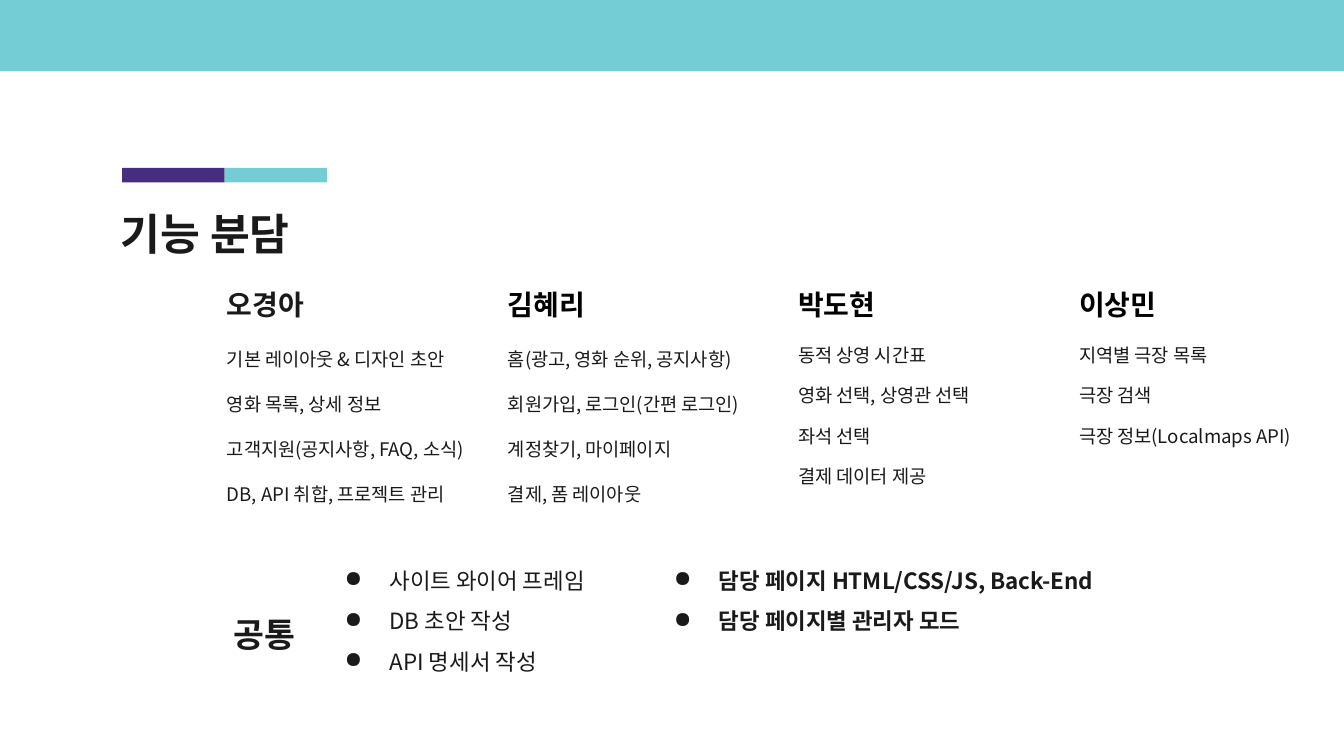
import pptx
import pptx.util
import pptx.dml.color
import pptx.enum.shapes
import pptx.enum.text
import pptx.oxml.ns
import lxml.etree

Pt = pptx.util.Pt
FACE = "Noto Sans CJK KR"
INK = "1A1A1A"
TEAL = "74CCD4"
PURPLE = "462D82"

TEAM = [
    (114.5, "오경아", INK, 1, 12,
     ["기본 레이아웃 & 디자인 초안", "영화 목록, 상세 정보",
      "고객지원(공지사항, FAQ, 소식)", "DB, API 취합, 프로젝트 관리"]),
    (265, "김혜리", "000000", 1, 12,
     ["홈(광고, 영화 순위, 공지사항)", "회원가입, 로그인(간편 로그인)",
      "계정찾기, 마이페이지", "결제, 폼 레이아웃"]),
    (420.5, "박도현", "000000", 0.8, 12,
     ["동적 상영 시간표", "영화 선택, 상영관 선택", "좌석 선택", "결제 데이터 제공"]),
    (571, "이상민", "000000", 0.8, 0,
     ["지역별 극장 목록", "극장 검색", "극장 정보(Localmaps API)"]),
]
SHARED = [
    (165.6, False, ["사이트 와이어 프레임", "DB 초안 작성", "API 명세서 작성"]),
    (342, True, ["담당 페이지 HTML/CSS/JS, Back-End", "담당 페이지별 관리자 모드"]),
]


def color(code):
    return pptx.dml.color.RGBColor.from_string(code)


def add_bar(slide, left, top, width, height, fill):
    bar = slide.shapes.add_shape(
        pptx.enum.shapes.MSO_SHAPE.RECTANGLE,
        Pt(left), Pt(top), Pt(width), Pt(height))
    bar.shadow.inherit = False
    bar.fill.solid()
    bar.fill.fore_color.rgb = color(fill)
    bar.line.fill.background()


def add_dot(para, ink):
    props = para._p.get_or_add_pPr()
    props.set("marL", str(Pt(36)))
    props.set("indent", str(-Pt(24)))
    tint = lxml.etree.SubElement(props, pptx.oxml.ns.qn("a:buClr"))
    lxml.etree.SubElement(tint, pptx.oxml.ns.qn("a:srgbClr"), val=ink)
    lxml.etree.SubElement(props, pptx.oxml.ns.qn("a:buChar"), char="●")


def add_text(slide, lines, left, top, width, height, size, ink=INK, bold=False,
             space=1, gap=0, after=0, dots=False, low=False):
    box = slide.shapes.add_textbox(Pt(left), Pt(top), Pt(width), Pt(height))
    frame = box.text_frame
    frame.word_wrap = True
    frame.margin_left = frame.margin_right = Pt(7.2)
    frame.margin_top = frame.margin_bottom = Pt(7.2)
    anchor = pptx.enum.text.MSO_ANCHOR
    frame.vertical_anchor = anchor.BOTTOM if low else anchor.TOP
    for num, line in enumerate(lines):
        para = frame.add_paragraph() if num else frame.paragraphs[0]
        if dots:
            add_dot(para, ink)
        para.line_spacing = float(space)
        para.space_before = Pt(gap if num else 0)
        para.space_after = Pt(after if num == len(lines) - 1 else 0)
        run = para.add_run()
        run.text = line
        run.font.size = Pt(size)
        run.font.bold = bold
        run.font.color.rgb = color(ink)
        run.font.name = FACE
        lxml.etree.SubElement(run._r.get_or_add_rPr(),
                              pptx.oxml.ns.qn("a:ea"), typeface=FACE)


def add_member(slide, left, name, ink, space, after, tasks):
    add_text(slide, [name], left, 133.9, 159, 45.4, 15, ink=ink, bold=True, low=True)
    add_text(slide, tasks, left, 179.3, 159, 90.7, 10, space=space, gap=12, after=after)


def main():
    deck = pptx.Presentation()
    deck.slide_width = Pt(720)
    deck.slide_height = Pt(405)
    slide = deck.slides.add_slide(deck.slide_layouts[6])

    add_bar(slide, -0.5, 0, 721, 38.2, TEAL)
    for num, fill in enumerate([PURPLE, TEAL]):
        add_bar(slide, 65.4 + num * 54.9, 90, 54.9, 7.7, fill)
    add_text(slide, ["기능 분담"], 57.6, 103.7, 605.5, 42.5, 23.2, bold=True)

    for member in TEAM:
        add_member(slide, *member)

    add_text(slide, ["공통"], 118, 311, 62.6, 30.2, 18, bold=True, space=1.5, after=12)
    for left, bold, tasks in SHARED:
        add_text(slide, tasks, left, 289.4, 328.3, 72.7, 12,
                 bold=bold, space=1.5, dots=True)

    deck.save("out.pptx")


if __name__ == "__main__":
    main()
